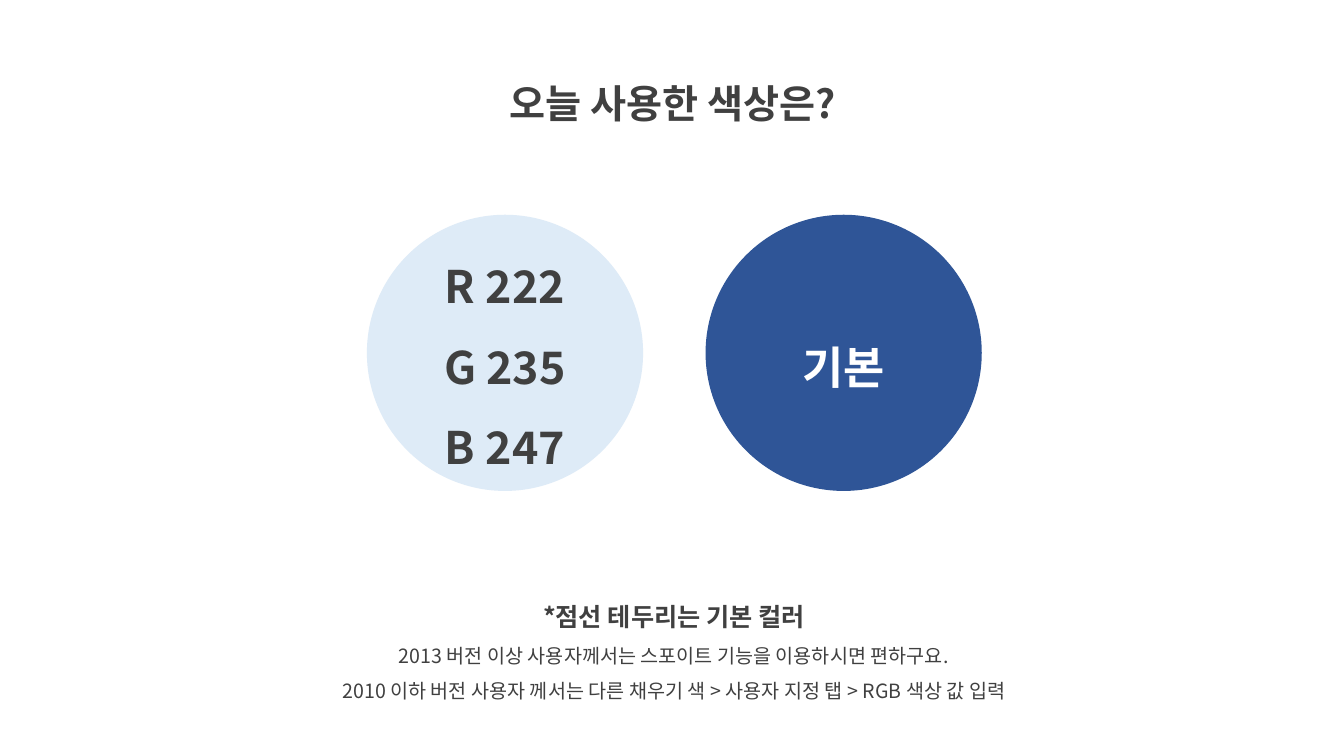
import dataclasses

import lxml.etree
import pptx
import pptx.dml.color
import pptx.enum.shapes
import pptx.enum.text
import pptx.oxml.ns
import pptx.util

FONT = "Noto Sans CJK KR"
DARK = "404040"
WHITE = "FFFFFF"
CIRCLE_TOP = 153.4
CIRCLE_SIZE = 197.3


@dataclasses.dataclass(frozen=True)
class Line:
    text: str
    size: float
    bold: bool = True
    color: str = DARK


@dataclasses.dataclass(frozen=True)
class Caption:
    left: float
    top: float
    width: float
    height: float
    lines: tuple[Line, ...]


@dataclasses.dataclass(frozen=True)
class Swatch:
    left: float
    fill: str
    lines: tuple[Line, ...]


CAPTIONS = (
    Caption(313.9, 36, 333.4, 51.8, (Line("오늘 사용한 색상은?", 28),)),
    Caption(193.7, 415.4, 575.3, 90.7, (
        Line("*점선 테두리는 기본 컬러", 18),
        Line("2013 버전 이상 사용자께서는 스포이트 기능을 이용하시면 편하구요.", 14, False),
        Line("2010 이하 버전 사용자 께서는 다른 채우기 색 > 사용자 지정 탭 > RGB 색상 값 입력", 14, False),
    )),
)

SWATCHES = (
    Swatch(262.1, "DEEBF7", tuple(Line(text, 32) for text in ("R 222", "G 235", "B 247"))),
    Swatch(504, "2F5597", (Line("기본", 32, color=WHITE),)),
)


def rgb(color: str) -> pptx.dml.color.RGBColor:
    return pptx.dml.color.RGBColor.from_string(color)


def write_lines(frame: pptx.text.text.TextFrame, lines: tuple[Line, ...]) -> None:
    frame.word_wrap = True
    for index, line in enumerate(lines):
        para = frame.add_paragraph() if index else frame.paragraphs[0]
        para.text = line.text
        para.alignment = pptx.enum.text.PP_ALIGN.CENTER
        para.line_spacing = 1.5
        font = para.font
        font.name = FONT
        font.size = pptx.util.Pt(line.size)
        font.bold = line.bold
        font.color.rgb = rgb(line.color)
        properties = para._p.pPr.find(pptx.oxml.ns.qn("a:defRPr"))
        east_asian = lxml.etree.SubElement(properties, pptx.oxml.ns.qn("a:ea"))
        east_asian.set("typeface", FONT)


def add_caption(page: pptx.slide.Slide, caption: Caption) -> None:
    bounds = (caption.left, caption.top, caption.width, caption.height)
    box = page.shapes.add_textbox(*map(pptx.util.Pt, bounds))
    write_lines(box.text_frame, caption.lines)
    box.text_frame.auto_size = pptx.enum.text.MSO_AUTO_SIZE.SHAPE_TO_FIT_TEXT


def add_swatch(page: pptx.slide.Slide, swatch: Swatch) -> None:
    bounds = (swatch.left, CIRCLE_TOP, CIRCLE_SIZE, CIRCLE_SIZE)
    circle = page.shapes.add_shape(
        pptx.enum.shapes.MSO_SHAPE.OVAL, *map(pptx.util.Pt, bounds)
    )
    circle.shadow.inherit = False
    circle.fill.solid()
    circle.fill.fore_color.rgb = rgb(swatch.fill)
    circle.line.fill.background()
    circle.text_frame.vertical_anchor = pptx.enum.text.MSO_ANCHOR.MIDDLE
    write_lines(circle.text_frame, swatch.lines)


def main() -> None:
    deck = pptx.Presentation()
    deck.slide_width = pptx.util.Pt(960)
    deck.slide_height = pptx.util.Pt(540)
    page = deck.slides.add_slide(deck.slide_layouts[6])
    for caption in CAPTIONS:
        add_caption(page, caption)
    for swatch in SWATCHES:
        add_swatch(page, swatch)
    deck.save("out.pptx")


if __name__ == "__main__":
    main()
